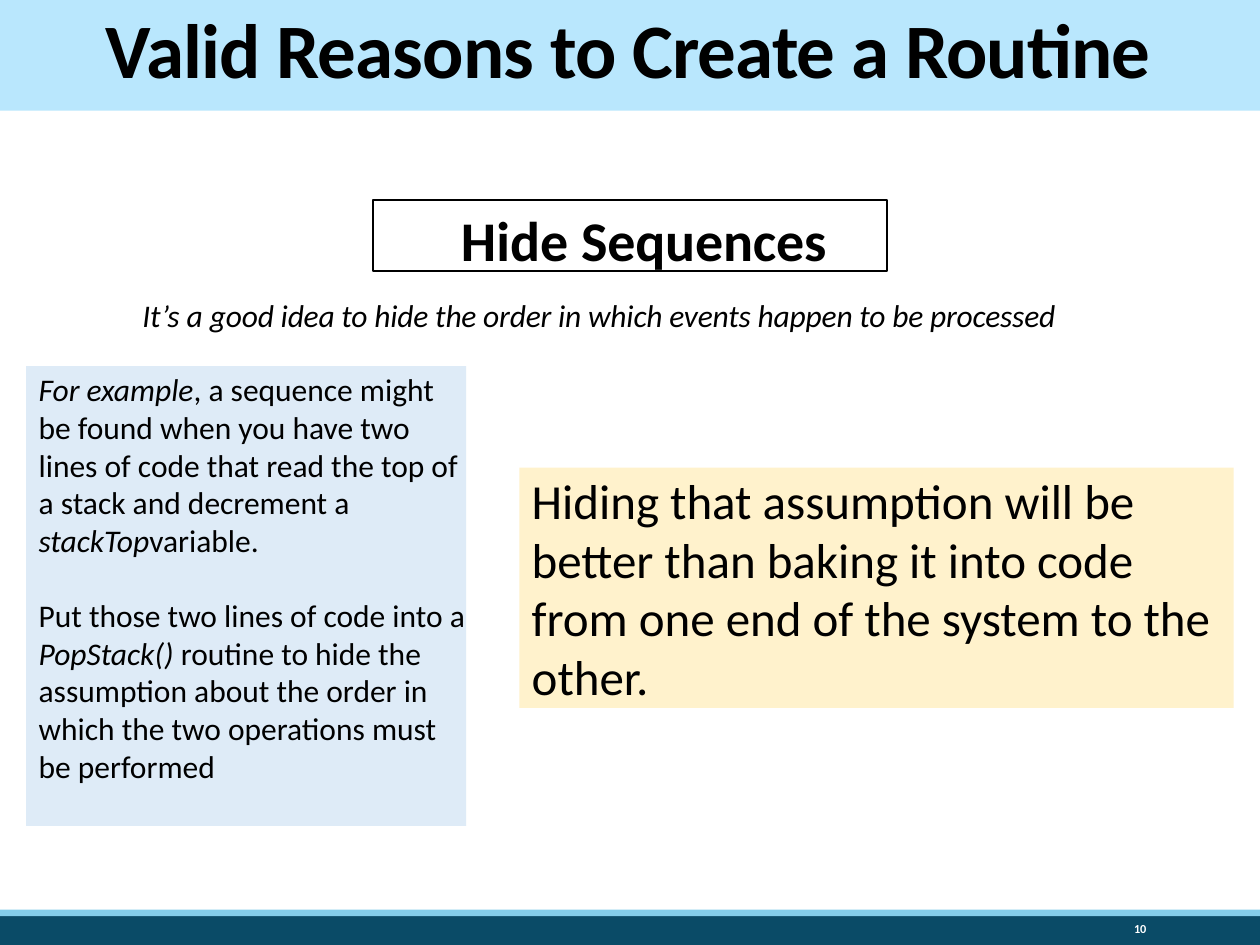
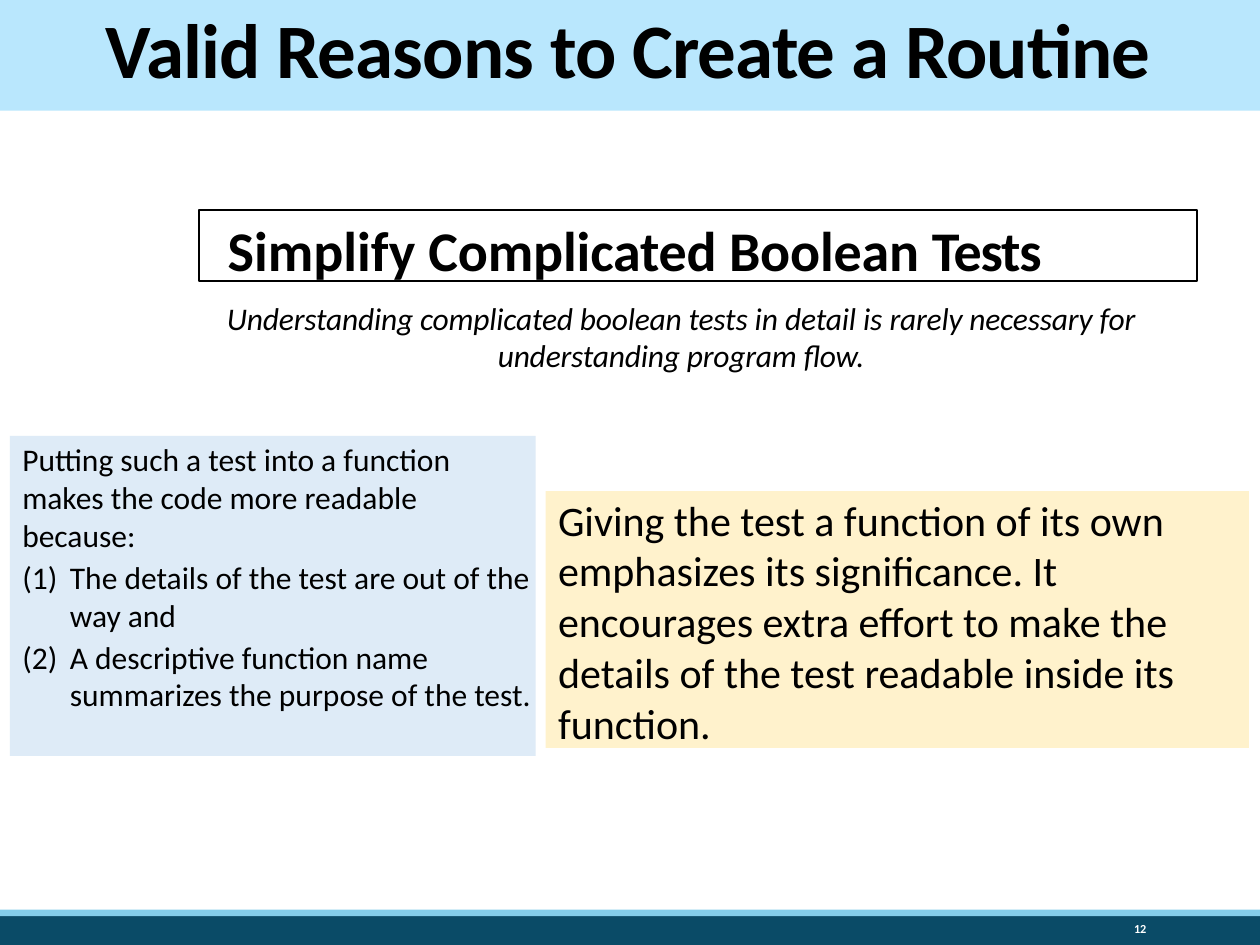
from lxml.etree import SubElement
from pptx import Presentation
from pptx.dml.color import RGBColor
from pptx.enum.shapes import MSO_SHAPE
from pptx.enum.text import MSO_ANCHOR, PP_ALIGN
from pptx.oxml.ns import qn
from pptx.util import Cm, Pt

FONT = "Calibri"
BLACK = RGBColor(0x00, 0x00, 0x00)
WHITE = RGBColor(0xFF, 0xFF, 0xFF)
NAVY = RGBColor(0x0A, 0x4B, 0x67)
CYAN = RGBColor(0x84, 0xCD, 0xEA)
SKY = RGBColor(0xB9, 0xE7, 0xFD)
PALE_BLUE = RGBColor(0xDE, 0xEB, 0xF7)
CREAM = RGBColor(0xFF, 0xF2, 0xCC)

WIDTH, HEIGHT = 25.4, 19.05
BAND_TOP = 18.47
STRIPE_HEIGHT = 0.13
TEXT_INSET = 0.25
NUMBER_INDENT = 0.96
TITLE = "Valid Reasons to Create a Routine"

# Each paragraph is a list of (text, italic, letter spacing) runs.
SLIDES = [
    {
        "number": "10",
        "heading": {
            "area": (7.52, 4.04, 10.36, 1.42),
            "align": PP_ALIGN.CENTER,
            "inset": 0.56,
            "paragraphs": [[("Hide ", False, 0), ("Sequences", False, -0.1)]],
        },
        "summary": {
            "area": (2.84, 5.94, 21.79, 0.81),
            "align": PP_ALIGN.LEFT,
            "paragraphs": [[
                ("It’s ", True, -0.1),
                ("a ", True, 0),
                ("good idea to hide the order in which events happen "
                 "to be processed", True, -0.1),
            ]],
        },
        "details": {
            "area": (0.53, 7.38, 8.87, 9.27),
            "gap": 21,
            "paragraphs": [
                [
                    ("For example", True, 0),
                    (", a sequence might be found when you have two lines of code "
                     "that read the top of a stack and decrement a ", False, 0),
                    ("stackTop", True, 0),
                    ("variable.", False, 0),
                ],
                [
                    ("Put those two lines of code into a ", False, 0),
                    ("PopStack() ", True, 0),
                    ("routine to hide the assumption about the order in which "
                     "the two operations must be performed", False, 0),
                ],
            ],
        },
        "conclusion": {
            "area": (10.47, 9.43, 14.4, 4.84),
            "size": 28,
            "paragraphs": [[
                ("Hiding that assumption will be better than baking it into code "
                 "from one end of the system to the other.", False, 0),
            ]],
        },
    },
    {
        "number": "12",
        "heading": {
            "area": (4.01, 4.24, 20.12, 1.42),
            "align": PP_ALIGN.LEFT,
            "inset": 0.58,
            "paragraphs": [[
                ("Simplify ", False, 0),
                ("Complicated Boolean ", False, -0.1),
                ("Tests", False, -0.7),
            ]],
        },
        "summary": {
            "area": (2.87, 5.99, 21.69, 1.57),
            "align": PP_ALIGN.CENTER,
            "paragraphs": [[
                ("Understanding complicated boolean tests ", True, -0.1),
                ("in ", True, 0),
                ("detail ", True, -0.1),
                ("is ", True, 0),
                ("rarely necessary for understanding program ", True, -0.1),
                ("flow.", True, -0.2),
            ]],
        },
        "details": {
            "area": (0.2, 8.79, 10.6, 6.45),
            "gap": 2.5,
            "numbered": True,
            "paragraphs": [
                [("Putting such a test into a function makes the code more "
                  "readable because:", False, 0)],
                [("The details of the test are out of the way and", False, 0)],
                [("A descriptive function name summarizes the purpose of the test.",
                  False, 0)],
            ],
        },
        "conclusion": {
            "area": (11, 9.9, 14.18, 5.18),
            "size": 24,
            "spacing": 1.01,
            "paragraphs": [[
                ("Giving the test a function of its own emphasizes its significance. "
                 "It encourages extra effort to make the details of the test "
                 "readable inside its function.", False, 0),
            ]],
        },
    },
]


def add_panel(page, area, fill=None, line=None):
    panel = page.shapes.add_shape(MSO_SHAPE.RECTANGLE, *map(Cm, area))
    panel.shadow.inherit = False
    if fill is None:
        panel.fill.background()
    else:
        panel.fill.solid()
        panel.fill.fore_color.rgb = fill
    if line is None:
        panel.line.fill.background()
    else:
        panel.line.color.rgb = line
        panel.line.width = Pt(1)
    return panel


def add_text_box(page, area):
    return page.shapes.add_textbox(*map(Cm, area))


def set_insets(box, left, top):
    frame = box.text_frame
    frame.margin_left, frame.margin_top = Cm(left), Cm(top)
    frame.margin_right = frame.margin_bottom = 0


def number_paragraph(paragraph):
    properties = paragraph._p.get_or_add_pPr()
    properties.set("marL", str(Cm(NUMBER_INDENT)))
    properties.set("indent", str(-Cm(NUMBER_INDENT)))
    SubElement(properties, qn("a:buAutoNum"), type="arabicParenBoth")


def write(box, paragraphs, size, align=PP_ALIGN.LEFT, color=BLACK, bold=False,
          spacing=1.0, gap=0, numbered=False, anchor=MSO_ANCHOR.TOP):
    frame = box.text_frame
    frame.word_wrap = True
    frame.vertical_anchor = anchor
    for index, spans in enumerate(paragraphs):
        paragraph = frame.add_paragraph() if index else frame.paragraphs[0]
        if index and numbered:
            number_paragraph(paragraph)
        paragraph.alignment = align
        paragraph.line_spacing = spacing
        if index:
            paragraph.space_before = Pt(gap)
        for text, italic, letter_spacing in spans:
            span = paragraph.add_run()
            span.text = text
            span.font.name = FONT
            span.font.size = Pt(size)
            span.font.bold = bold
            span.font.italic = italic
            span.font.color.rgb = color
            if letter_spacing:
                span._r.get_or_add_rPr().set("spc", str(round(letter_spacing * 100)))


def add_frame(page, number):
    add_panel(page, (0, BAND_TOP, WIDTH, HEIGHT - BAND_TOP), NAVY)
    add_panel(page, (0, BAND_TOP - STRIPE_HEIGHT, WIDTH, STRIPE_HEIGHT), CYAN)
    title = add_panel(page, (-0.08, -0.03, WIDTH + 0.08, 2.26), SKY)
    write(title, [[(TITLE, False, -0.5)]], 44, PP_ALIGN.CENTER, bold=True,
          spacing=0.85, anchor=MSO_ANCHOR.MIDDLE)
    footer = add_text_box(page, (20.62, BAND_TOP, 2.74, 0.53))
    write(footer, [[(number, False, 0)]], 7, PP_ALIGN.RIGHT, WHITE, bold=True,
          spacing=0.9, anchor=MSO_ANCHOR.MIDDLE)


def add_content(page, slide):
    heading = slide["heading"]
    box = add_panel(page, heading["area"], line=BLACK)
    set_insets(box, heading["inset"], 0.1)
    write(box, heading["paragraphs"], 32, heading["align"], bold=True)

    summary = slide["summary"]
    box = add_text_box(page, summary["area"])
    set_insets(box, 0.03, 0.03)
    write(box, summary["paragraphs"], 18, summary["align"])

    details = slide["details"]
    box = add_panel(page, details["area"], PALE_BLUE)
    set_insets(box, TEXT_INSET, 0.08)
    write(box, details["paragraphs"], 18, gap=details["gap"],
          numbered=details.get("numbered", False))

    conclusion = slide["conclusion"]
    box = add_panel(page, conclusion["area"], CREAM)
    set_insets(box, TEXT_INSET, 0.05)
    write(box, conclusion["paragraphs"], conclusion["size"],
          spacing=conclusion.get("spacing", 1.0))


def main():
    deck = Presentation()
    deck.slide_width, deck.slide_height = Cm(WIDTH), Cm(HEIGHT)
    for slide in SLIDES:
        page = deck.slides.add_slide(deck.slide_layouts[6])
        add_frame(page, slide["number"])
        add_content(page, slide)
    deck.save("out.pptx")


if __name__ == "__main__":
    main()
